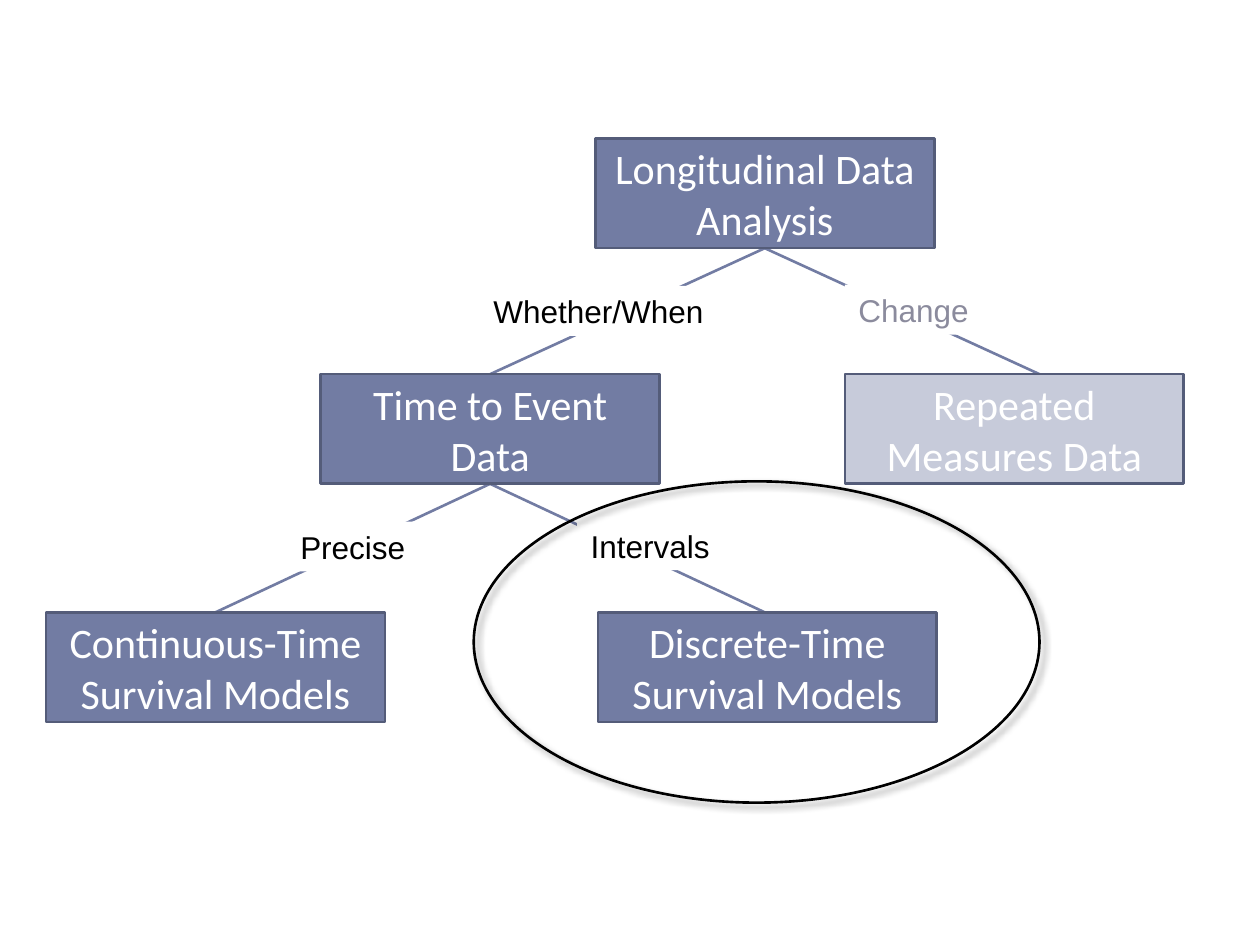
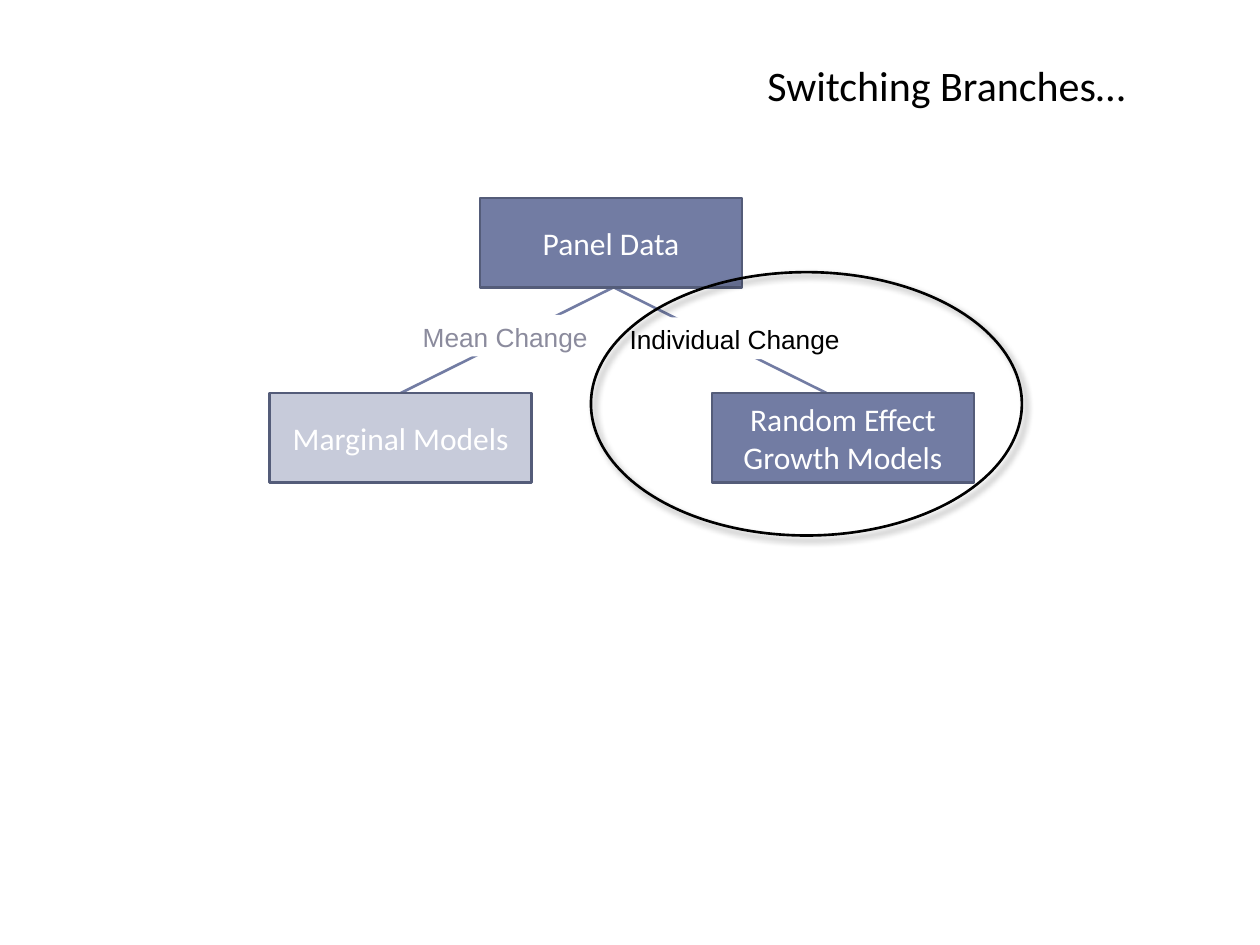
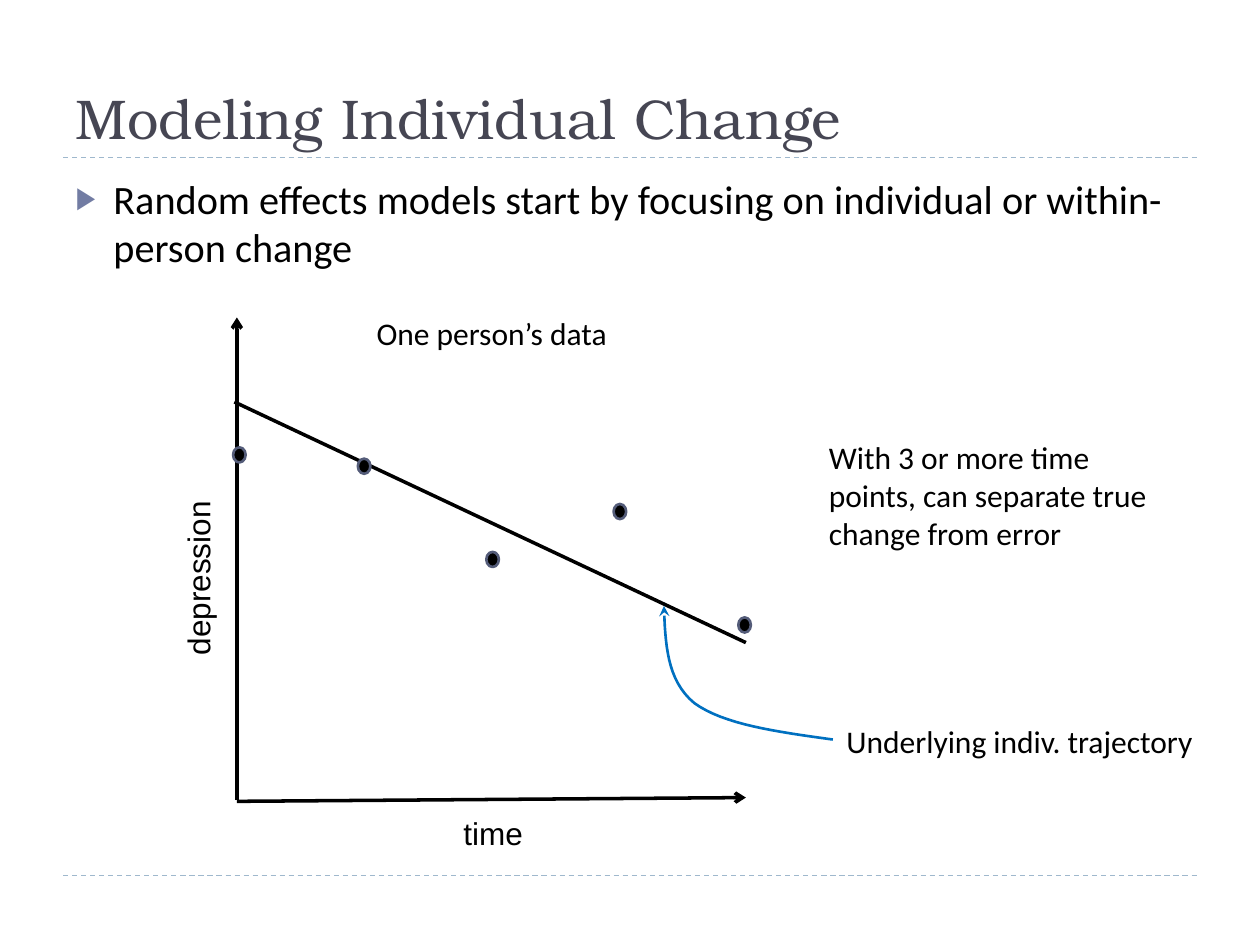
from dataclasses import dataclass

from lxml import etree
from pptx import Presentation
from pptx.dml.color import RGBColor
from pptx.enum.dml import MSO_LINE
from pptx.enum.shapes import MSO_CONNECTOR, MSO_SHAPE
from pptx.enum.text import MSO_ANCHOR, MSO_AUTO_SIZE, PP_ALIGN
from pptx.oxml.ns import qn
from pptx.util import Emu, Inches, Pt

# Grid: 100 columns by 75 rows of square cells
COLS, ROWS = 100, 75
WIDE, HIGH = Inches(10), Inches(7.5)
CELL = WIDE / COLS

# Shared colours and fonts
BLACK, WHITE = "000000", "FFFFFF"
SLATE, EDGE, PALE, FADED = "727CA3", "545C79", "C7CBDA", "8B8B9D"
INK, RULE, BLUE = "464653", "9FB8CD", "0070C0"
SANS, LABEL, SERIF = "Calibri", "Arial", "TeX Gyre Bonum"

LEFT, MID = PP_ALIGN.LEFT, PP_ALIGN.CENTER
TOP, CENTER, BOTTOM = MSO_ANCHOR.TOP, MSO_ANCHOR.MIDDLE, MSO_ANCHOR.BOTTOM
RECT, OVAL = MSO_SHAPE.RECTANGLE, MSO_SHAPE.OVAL
DASH, STRAIGHT = MSO_LINE.DASH, MSO_CONNECTOR.STRAIGHT
FIXED = MSO_AUTO_SIZE.NONE
LAY_BODY, LAY_TITLE, LAY_BLANK = 1, 5, 6


@dataclass(frozen=True)
class Area:
    x: float
    y: float
    w: float
    h: float


@dataclass(frozen=True)
class Style:
    size: float
    font: str = SANS
    color: str = BLACK


@dataclass(frozen=True)
class Node:
    text: str
    mid: float
    top: float
    join: float
    fill: str = SLATE


@dataclass(frozen=True)
class Tag:
    text: str
    mid: float
    top: float
    wide: float
    color: str = BLACK


@dataclass(frozen=True)
class Tree:
    nodes: list[Node]
    links: list[tuple[int, int]]
    tags: list[Tag]
    ring: Area
    wide: float
    high: float
    size: float
    small: float


@dataclass(frozen=True)
class Note:
    text: str
    area: Area
    font: str = SANS
    turn: float = 0


# Drawing helpers
def grid(cells: float) -> Emu:
    return Emu(round(cells * CELL))


def frame(area: Area) -> tuple[Emu, Emu, Emu, Emu]:
    return grid(area.x), grid(area.y), grid(area.w), grid(area.h)


def paint(target, color: str) -> None:
    target.solid()
    target.fore_color.rgb = RGBColor.from_string(color)


def pen(line, color: str, width: float) -> None:
    paint(line.fill, color)
    line.width = Pt(width)


def write(shape, text: str, style: Style, align=LEFT, anchor=TOP, wrap=True) -> None:
    box = shape.text_frame
    box.auto_size = FIXED
    box.word_wrap = wrap
    box.vertical_anchor = anchor
    para = box.paragraphs[0]
    para.alignment = align
    para.space_before = Pt(0)
    run = para.add_run()
    run.text = text
    run.font.size = Pt(style.size)
    run.font.name = style.font
    run.font.color.rgb = RGBColor.from_string(style.color)


def form(slide, kind, area: Area, fill: str = "", edge: str = ""):
    shape = slide.shapes.add_shape(kind, *frame(area))
    shape.shadow.inherit = False
    if fill:
        paint(shape.fill, fill)
    else:
        shape.fill.background()
    if edge:
        pen(shape.line, edge, 1.5)
    else:
        shape.line.fill.background()
    return shape


def tip(shape, end: str, kind: str) -> None:
    line = shape.element.spPr.find(qn("a:ln"))
    etree.SubElement(line, qn(f"a:{end}"), type=kind)


def stroke(slide, start, stop, color: str, width: float):
    points = [grid(value) for value in (*start, *stop)]
    line = slide.shapes.add_connector(STRAIGHT, *points)
    pen(line.line, color, width)
    etree.SubElement(line.element.spPr, qn("a:effectLst"))
    return line


def place(shape, area: Area) -> None:
    shape.left, shape.top, shape.width, shape.height = frame(area)


def halo(slide, area: Area) -> None:
    shape = form(slide, OVAL, area, edge=BLACK)
    effect = shape.element.spPr.find(qn("a:effectLst"))
    shade = etree.SubElement(
        effect, qn("a:outerShdw"), blurRad=str(Pt(4)), dist=str(Pt(3)),
        dir="2700000", algn="tl", rotWithShape="0")
    color = etree.SubElement(shade, qn("a:srgbClr"), val=BLACK)
    etree.SubElement(color, qn("a:alpha"), val="40000")


def draw_tree(slide, tree: Tree) -> None:
    for upper, lower in tree.links:
        start, stop = tree.nodes[upper], tree.nodes[lower]
        stroke(slide, (start.join, start.top + tree.high),
               (stop.join, stop.top), SLATE, 1.5)
    for node in tree.nodes:
        area = Area(node.mid - tree.wide / 2, node.top, tree.wide, tree.high)
        shape = form(slide, RECT, area, node.fill, EDGE)
        write(shape, node.text, Style(tree.size, SANS, WHITE), MID, CENTER)
    for tag in tree.tags:
        high = tree.small * 0.22
        area = Area(tag.mid - tag.wide / 2, tag.top, tag.wide, high)
        shape = form(slide, RECT, area, WHITE)
        write(shape, tag.text, Style(tree.small, LABEL, tag.color), MID, wrap=False)
    halo(slide, tree.ring)


def bend(a, b, c, d, steps: int = 16) -> list[tuple[Emu, Emu]]:
    """Points along a cubic curve, without its start."""
    points = []
    for step in range(1, steps + 1):
        t = step / steps
        u = 1 - t
        parts = (u ** 3, 3 * u * u * t, 3 * u * t * t, t ** 3)
        points.append(tuple(
            grid(sum(part * spot[axis] for part, spot in zip(parts, (a, b, c, d))))
            for axis in (0, 1)))
    return points


# Slide 1: tree of methods, with columns one step apart
STEP = 21.8
FIRST, SECOND, THIRD, FOURTH = (17.1 + STEP * i for i in range(4))
METHODS = Tree(
    nodes=[
        Node("Longitudinal Data Analysis", FIRST + 2 * STEP, 11, THIRD),
        Node("Time to Event Data", SECOND, 29.7, SECOND),
        Node("Repeated Measures Data", 80.5, 29.7, FOURTH, PALE),
        Node("Continuous-Time Survival Models", FIRST, 48.6, FIRST),
        Node("Discrete-Time Survival Models", 60.9, 48.6, THIRD),
    ],
    links=[(0, 1), (0, 2), (1, 3), (1, 4)],
    tags=[
        Tag("Whether/When", 47.5, 22.7, 18.8),
        Tag("Change", 72.5, 22.6, 10.9, FADED),
        Tag("Precise", 28, 41.4, 16.7),
        Tag("Intervals", 51.6, 41.3, 11.6),
    ],
    ring=Area(37.6, 38.2, 44.9, 25.5),
    wide=26.9, high=8.7, size=24, small=18)

# Slide 2: tree of panel models
PANEL = Tree(
    nodes=[
        Node("Panel Data", 48.5, 15.7, 48.7),
        Node("Marginal Models", 31.8, 31.2, 31.8, PALE),
        Node("Random Effect Growth Models", 66.9, 31.2, 65.6),
    ],
    links=[(0, 1), (0, 2)],
    tags=[
        Tag("Mean Change", 40.1, 25, 15.3, FADED),
        Tag("Individual Change", 58.3, 25.2, 18.9),
    ],
    ring=Area(46.9, 21.6, 34.2, 20.9),
    wide=20.8, high=7.1, size=18, small=15)

# Slide 3: sketch of one person's change
DOTS = [(19, 36.1), (28.9, 37), (39.1, 44.4), (49.2, 40.6), (59.1, 49.6)]
NOTES = [
    Note("time", Area(35.8, 64.1, 6.8, 4), LABEL),
    Note("depression", Area(8.5, 43.8, 14.4, 4), LABEL, 270),
    Note("With 3 or more time points, can separate true change from error",
         Area(64.8, 34.3, 29.7, 10.1)),
    Note("One person’s data", Area(28.9, 24.4, 29.7, 4)),
    Note("Underlying indiv. trajectory", Area(66.2, 56.8, 29.7, 4)),
]
CURVE = [(52.7, 48.1), (52.8, 51), (52.9, 54), (55.1, 55.8),
         (57.4, 57.5), (61.7, 58.1), (66.1, 58.7)]


def add_mark(para) -> None:
    props = para._p.get_or_add_pPr()
    props.set("marL", str(grid(3)))
    props.set("indent", str(grid(-3)))
    color = etree.SubElement(props, qn("a:buClr"))
    etree.SubElement(color, qn("a:srgbClr"), val=SLATE)
    etree.SubElement(props, qn("a:buSzPct"), val="76000")
    etree.SubElement(props, qn("a:buChar"), char="▶")


def draw_change(slide) -> None:
    # Bands, title and list
    for row in (12.5, 69.5):
        stroke(slide, (5, row), (95, row), RULE, 0.75).line.dash_style = DASH
    title, body = slide.shapes.title, slide.placeholders[1]
    place(title, Area(5, 1.7, 90, 10.8))
    write(title, "Modeling Individual Change", Style(32, SERIF, INK), anchor=BOTTOM)
    place(body, Area(5, 13.3, 90, 54))
    add_mark(body.text_frame.paragraphs[0])
    write(body, "Random effects models start by focusing on individual "
          "or within-person change", Style(23))

    # Axes, trend and data points
    for start, stop in (((18.8, 63.6), (59.2, 63.3)), ((18.8, 63.5), (18.8, 25.2))):
        tip(stroke(slide, start, stop, BLACK, 2), "tailEnd", "arrow")
    stroke(slide, (18.6, 31.9), (59.2, 51), BLACK, 2)
    for x, y in DOTS:
        form(slide, OVAL, Area(x - 0.5, y - 0.6, 1, 1.2), BLACK, EDGE)

    # Notes and the curved arrow
    for note in NOTES:
        box = slide.shapes.add_textbox(*frame(note.area))
        box.rotation = note.turn
        write(box, note.text, Style(18, note.font), wrap=note.font == SANS)
    path = slide.shapes.build_freeform(*(grid(value) for value in CURVE[0]))
    path.add_line_segments(bend(*CURVE[:4]) + bend(*CURVE[3:]), close=False)
    arrow = path.convert_to_shape()
    arrow.shadow.inherit = False
    arrow.fill.background()
    pen(arrow.line, BLUE, 1.5)
    tip(arrow, "headEnd", "stealth")


def main() -> None:
    deck = Presentation()
    deck.slide_width, deck.slide_height = WIDE, HIGH
    first, second, third = (
        deck.slides.add_slide(deck.slide_layouts[lay])
        for lay in (LAY_BLANK, LAY_TITLE, LAY_BODY))
    draw_tree(first, METHODS)
    draw_tree(second, PANEL)
    place(second.shapes.title, Area(59.9, 4.2, 38.7, 5))
    write(second.shapes.title, "Switching Branches…", Style(24))
    draw_change(third)
    deck.save("out.pptx")


if __name__ == "__main__":
    main()
